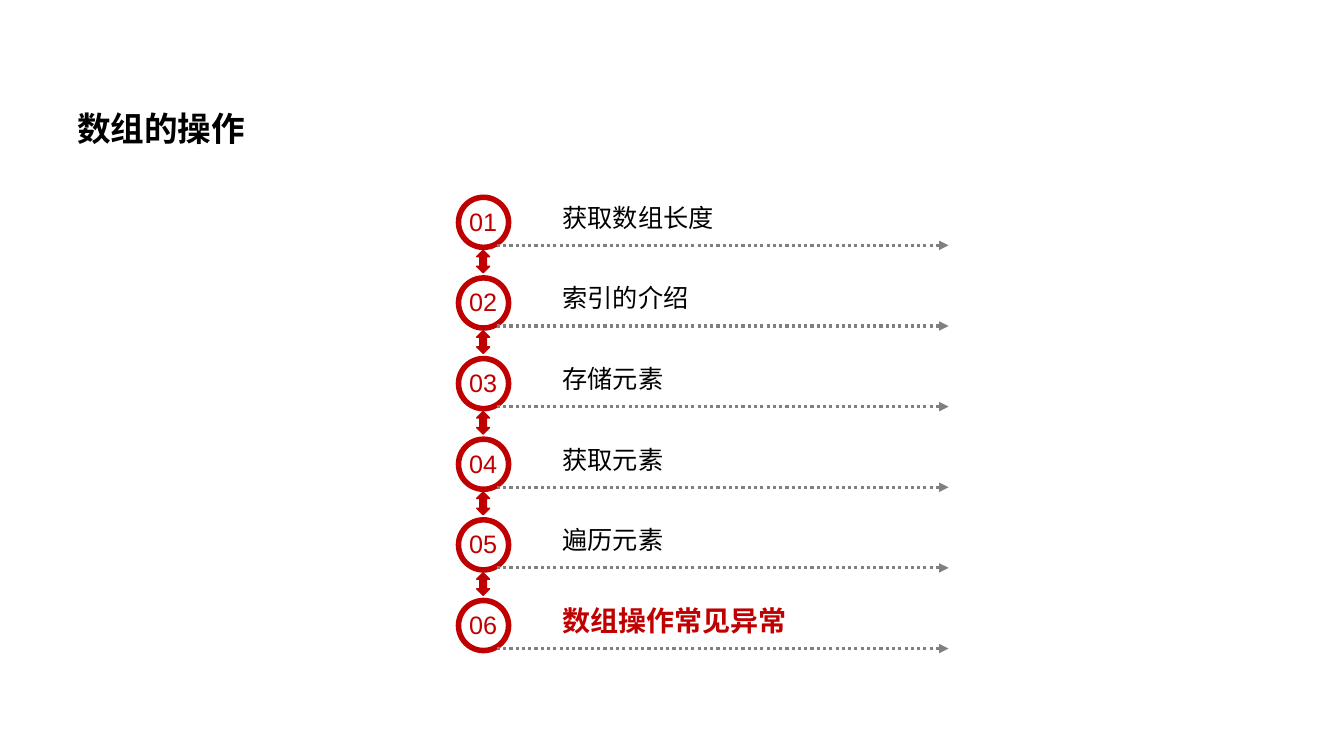
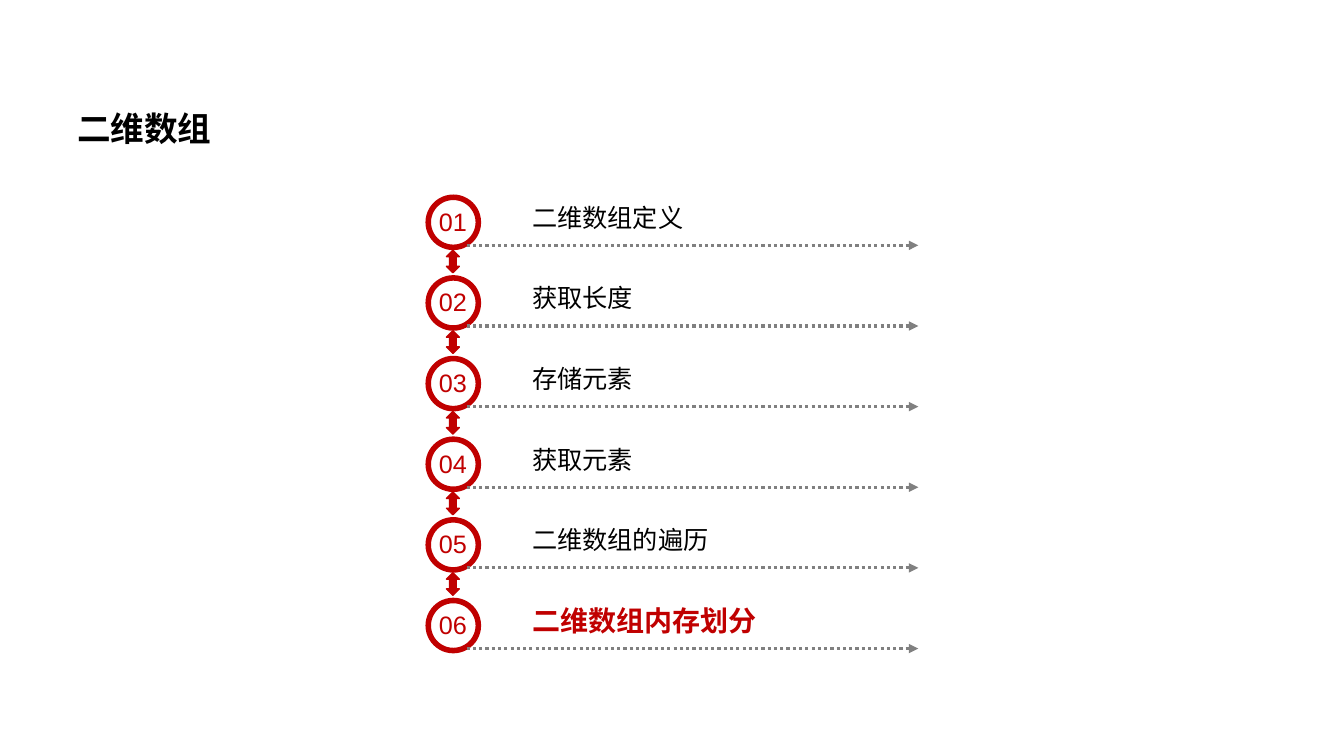
from lxml import etree
from pptx import Presentation
from pptx import util as u
from pptx.dml.color import RGBColor
from pptx.enum import dml, shapes, text
from pptx.oxml.ns import qn

HUES = {"red": "C00000", "gray": "808080", "black": "000000"}
WIDE, HIGH = 13.33, 7.5
CELL = 0.8
TOP = 1.93
FACE, HAN = "Arial", "Noto Sans CJK SC"

DECK = [
    ("数组的操作", 4.52,
     ["获取数组长度", "索引的介绍", "存储元素", "获取元素", "遍历元素", "数组操作常见异常"]),
    ("二维数组", 4.22,
     ["二维数组定义", "获取长度", "存储元素", "获取元素", "二维数组的遍历", "二维数组内存划分"]),
]


def hue(name):
    return RGBColor.from_string(HUES[name])


def spot(left, col, row):
    return u.Inches(left + col * CELL), u.Inches(TOP + row * CELL)


def size(cols, rows):
    return u.Inches(cols * CELL), u.Inches(rows * CELL)


def write(slide, words, place, area, pts, color, bold=False, wrap=True):
    frame = slide.shapes.add_textbox(*place, *area).text_frame
    frame.word_wrap = wrap
    frame.vertical_anchor = text.MSO_ANCHOR.MIDDLE
    para = frame.paragraphs[0]
    para.text = words
    font = para.font
    font.size, font.bold, font.name = u.Pt(pts), bold, FACE
    font.color.rgb = hue(color)
    etree.SubElement(para._p.pPr.find(qn("a:defRPr")), qn("a:ea"), typeface=HAN)
    return frame


def head(slide, words):
    place = u.Inches(WIDE * 0.05), u.Inches(HIGH * 0.11)
    area = u.Inches(WIDE * 0.88), u.Inches(HIGH * 0.15)
    frame = write(slide, words, place, area, 24, "black", True)
    frame.vertical_anchor = text.MSO_ANCHOR.TOP
    frame.paragraphs[0].line_spacing = 1.5


def solid(slide, kind, place, area):
    shape = slide.shapes.add_shape(kind, *place, *area)
    shape.shadow.inherit = False
    shape.fill.solid()
    shape.fill.fore_color.rgb = hue("red")
    shape.line.fill.background()
    return shape


def ring(slide, left, row):
    shape = solid(slide, shapes.MSO_SHAPE.DONUT, spot(left, 0, row), size(0.69, 0.69))
    shape.adjustments[0] = 0.1
    frame = write(slide, f"{row + 1:02}", spot(left, 0.04, row + 0.08),
                  size(0.6, 0.5), 18, "red", wrap=False)
    frame.paragraphs[0].alignment = text.PP_ALIGN.CENTER


def link(slide, left, row):
    shape = solid(slide, shapes.MSO_SHAPE.UP_DOWN_ARROW,
                  spot(left, 0.26, row + 0.69), size(0.16, 0.28))
    shape.line.color.rgb = hue("red")
    shape.line.width = u.Pt(1)


def rule(slide, left, row):
    line = slide.shapes.add_connector(
        shapes.MSO_CONNECTOR.STRAIGHT,
        *spot(left, 0.51, row + 0.63), *spot(left, 6.11, row + 0.63))
    line.line.color.rgb = hue("gray")
    line.line.width = u.Pt(2.25)
    line.line.dash_style = dml.MSO_LINE.ROUND_DOT
    props = line._element.spPr
    etree.SubElement(props.find(qn("a:ln")), qn("a:tailEnd"), type="triangle")
    etree.SubElement(props, qn("a:effectLst"))


def steps(slide, left, names):
    last = len(names) - 1
    for row, name in enumerate(names):
        ring(slide, left, row)
        rule(slide, left, row)
        pts, color = (20, "red") if row == last else (18, "black")
        write(slide, name, spot(left, 1.2, row + 0.03), size(4.95, 0.5),
              pts, color, row == last)
        if row < last:
            link(slide, left, row)


def main():
    deck = Presentation()
    deck.slide_width, deck.slide_height = u.Inches(WIDE), u.Inches(HIGH)
    for title, left, names in DECK:
        slide = deck.slides.add_slide(deck.slide_layouts[6])
        head(slide, title)
        steps(slide, left, names)
    deck.save("out.pptx")


if __name__ == "__main__":
    main()
